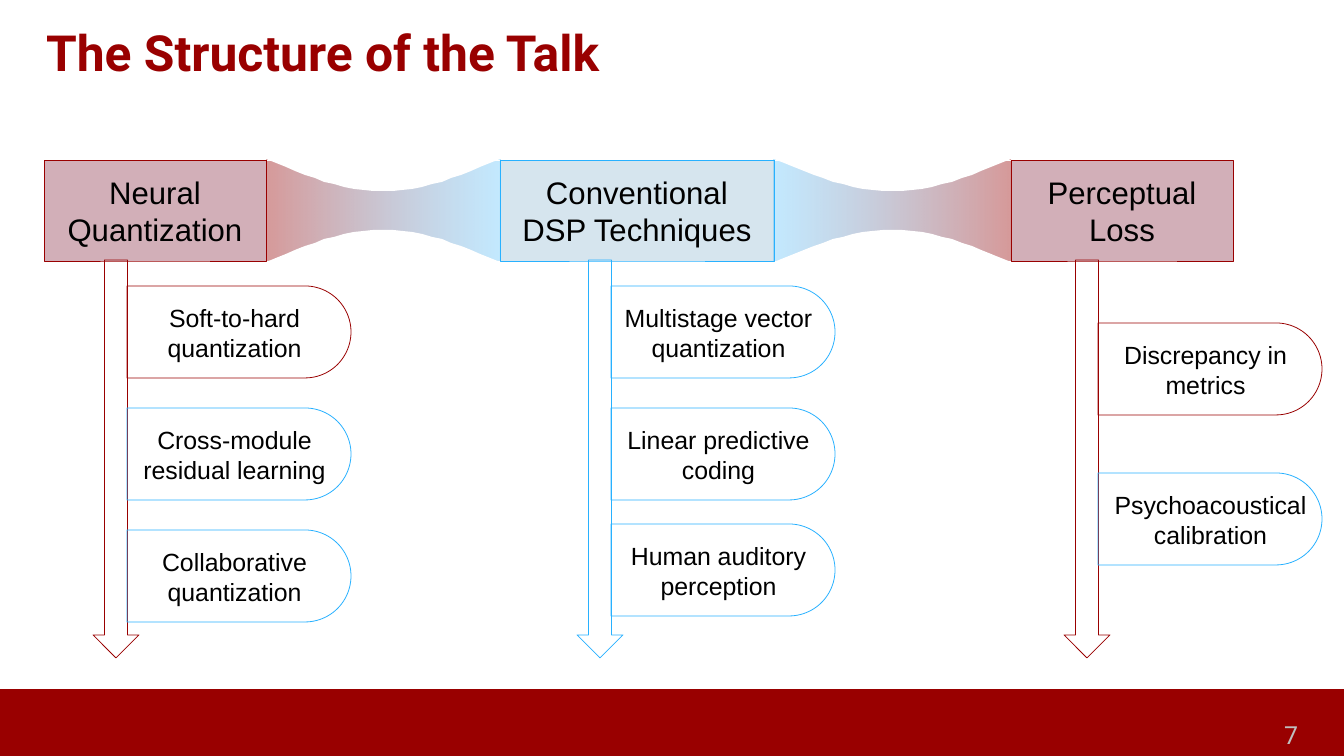
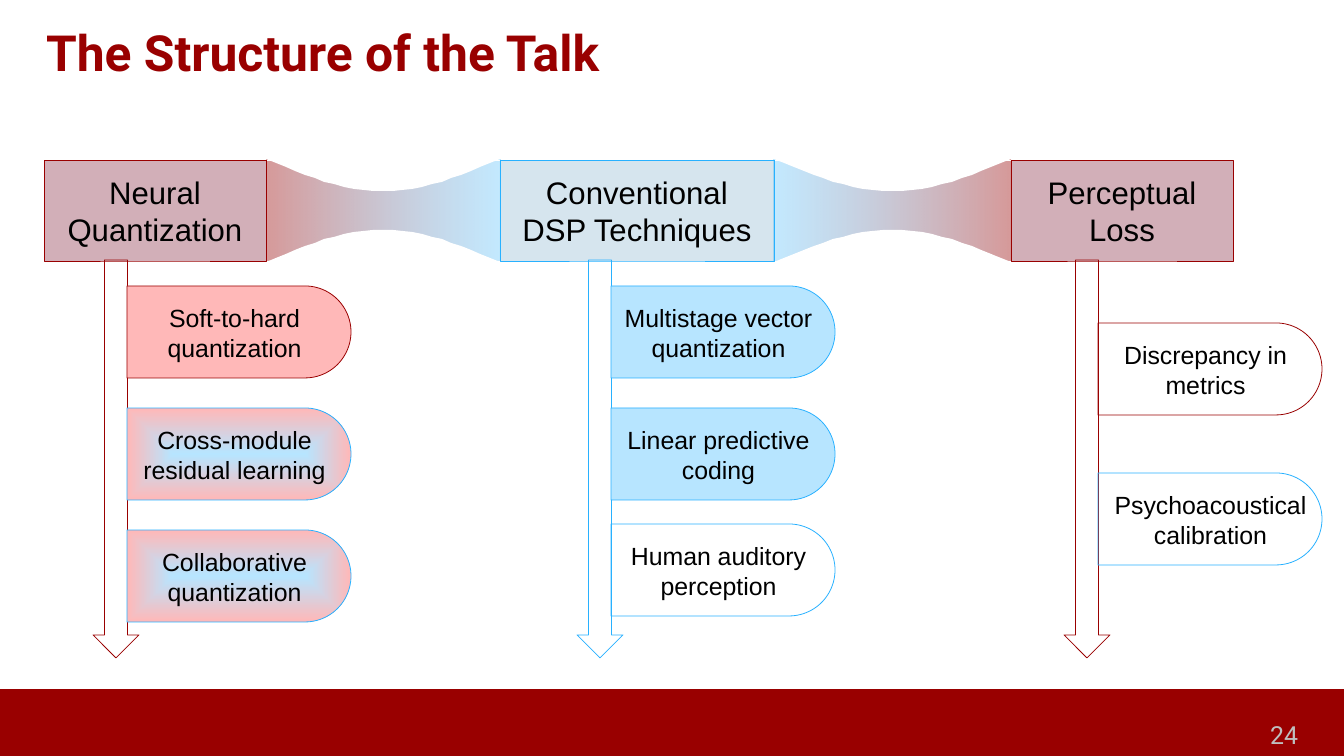
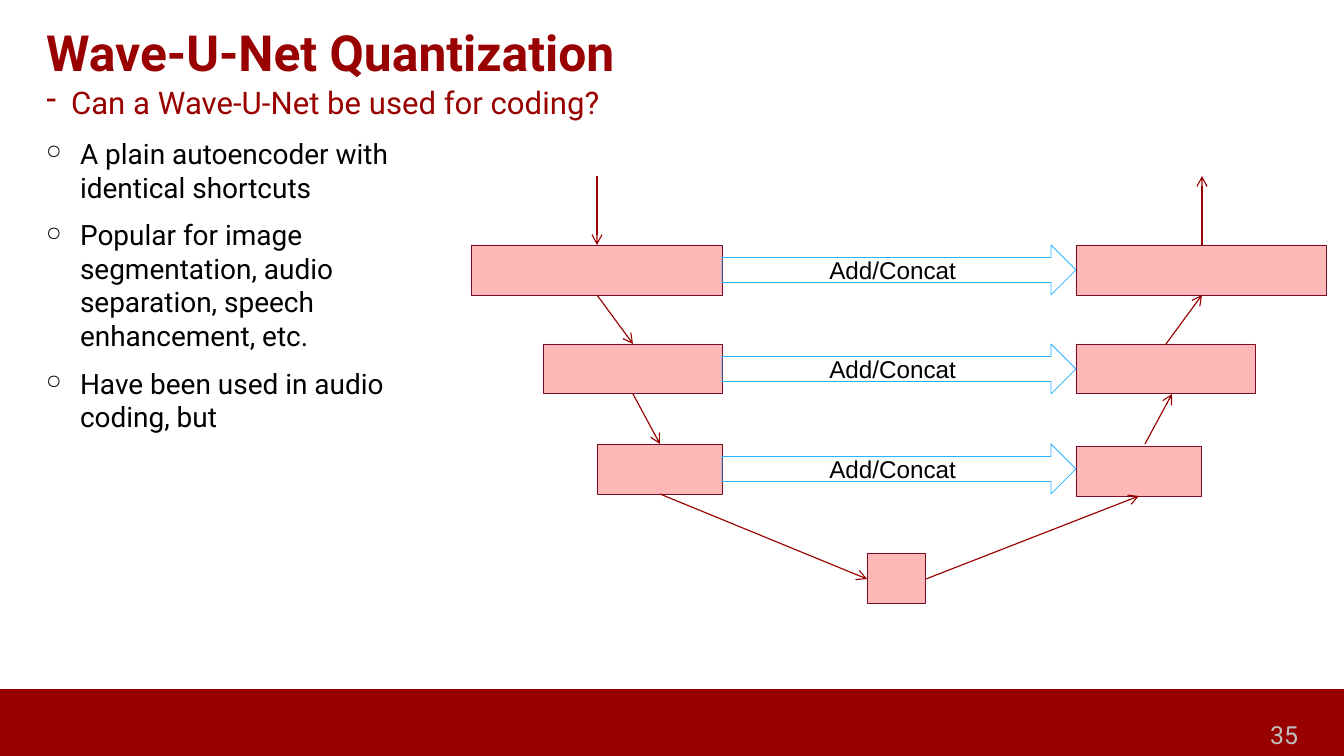
from dataclasses import dataclass
from enum import Enum
from math import pi, sin
from typing import Any, NamedTuple, Optional

from lxml import etree
from pptx import Presentation
from pptx.dml.color import RGBColor
from pptx.enum.shapes import MSO_CONNECTOR, MSO_SHAPE
from pptx.enum.text import MSO_ANCHOR, MSO_AUTO_SIZE, PP_ALIGN
from pptx.oxml.ns import qn
from pptx.util import Pt

RECTANGLE = MSO_SHAPE.RECTANGLE
DOWN_ARROW = MSO_SHAPE.DOWN_ARROW
RIGHT_ARROW = MSO_SHAPE.RIGHT_ARROW
PILL_SHAPE = MSO_SHAPE.ROUND_2_SAME_RECTANGLE
STRAIGHT = MSO_CONNECTOR.STRAIGHT
TOP, MIDDLE = MSO_ANCHOR.TOP, MSO_ANCHOR.MIDDLE
LEFT, CENTER, RIGHT = PP_ALIGN.LEFT, PP_ALIGN.CENTER, PP_ALIGN.RIGHT
GROW = MSO_AUTO_SIZE.SHAPE_TO_FIT_TEXT
BLANK_LAYOUT = 6
EMU_PER_PX = 914400 / 112


# Theme
@dataclass(frozen=True)
class Theme:
    red: str = "990000"
    blue: str = "28B1FF"
    wine: str = "770D28"
    navy: str = "006198"
    pink: str = "FFB8B8"
    sky: str = "B7E5FF"
    grey: str = "BFBFBF"
    black: str = "000000"
    white: str = "FFFFFF"
    heading_font: str = "Roboto"
    diagram_font: str = "Arial"
    title_size: float = 32
    subtitle_size: float = 20
    body_size: float = 18
    box_size: float = 20
    label_size: float = 16
    shortcut_size: float = 15.6
    outline: float = 0.5
    flow_line: float = 0.75


THEME = Theme()


class Tone(Enum):
    RED = 1
    BLUE = 2
    MIXED = 3


class Box(NamedTuple):
    left: int
    top: int
    width: int
    height: int


class Stop(NamedTuple):
    position: int
    color: str
    alpha: int = 100


class TextStyle(NamedTuple):
    font: str
    size: float
    color: str
    bold: bool = False
    align: PP_ALIGN = LEFT


class Bullet(NamedTuple):
    character: str
    indent: int
    percent: int = 100


class Pill(NamedTuple):
    text: str
    center: int
    tone: Tone
    covered: bool = True
    text_width: int = 213


class Column(NamedTuple):
    title: str
    left: int
    width: int
    fill: str
    alpha: int
    line: str
    arrow_left: int
    pills: tuple[Pill, ...]


class Level(NamedTuple):
    width: int
    encoder_top: int
    decoder_top: int


TITLE = TextStyle(THEME.heading_font, THEME.title_size, THEME.red, bold=True)
SUBTITLE = TextStyle(THEME.heading_font, THEME.subtitle_size, THEME.red)
BODY = TextStyle(THEME.heading_font, THEME.body_size, THEME.black)
NUMBER = TextStyle(THEME.heading_font, THEME.label_size, THEME.grey, align=RIGHT)
BOX_TEXT = TextStyle(THEME.diagram_font, THEME.box_size, THEME.black, align=CENTER)
PILL_TEXT = TextStyle(THEME.diagram_font, THEME.label_size, THEME.black, align=CENTER)
SHORTCUT = TextStyle(THEME.diagram_font, THEME.shortcut_size, THEME.black, align=CENTER)

# Content of the talk structure
BOX_TOP, BOX_HEIGHT = 160, 101
COLUMNS = (
    Column("Neural Quantization", 44, 222, THEME.wine, 33, THEME.red, 93, (
        Pill("Soft-to-hard quantization", 332, Tone.RED),
        Pill("Cross-module residual learning", 454, Tone.MIXED),
        Pill("Collaborative quantization", 576, Tone.MIXED))),
    Column("Conventional DSP Techniques", 500, 274, THEME.navy, 16, THEME.blue, 577, (
        Pill("Multistage vector quantization", 332, Tone.BLUE),
        Pill("Linear predictive coding", 454, Tone.BLUE),
        Pill("Human auditory perception", 570, Tone.BLUE, covered=False))),
    Column("Perceptual Loss", 1011, 222, THEME.wine, 33, THEME.red, 1064, (
        Pill("Discrepancy in metrics", 369, Tone.RED, covered=False),
        Pill("Psychoacoustical calibration", 519, Tone.MIXED, covered=False, text_width=223))),
)

# Content of the network diagram
BLOCK_HEIGHT = 50
ENCODER_RIGHT, DECODER_LEFT = 722, 1076
LEVELS = (Level(251, 245, 245), Level(179, 344, 344), Level(125, 444, 446))
BOTTLENECK = Box(867, 553, 59, BLOCK_HEIGHT)
FLOW = (
    (597, 176, 597, 245), (597, 295, 633, 344), (633, 394, 660, 444), (660, 494, 867, 579),
    (926, 579, 1139, 496), (1145, 444, 1172, 394), (1166, 344, 1202, 295), (1202, 245, 1202, 176),
)


def px(length: float) -> int:
    return round(length * EMU_PER_PX)


# Fills and lines
def set_alpha(color_element: Any, percent: int) -> None:
    etree.SubElement(color_element, qn("a:alpha"), val=str(percent * 1000))


def set_gradient(parent: Any, stops: tuple[Stop, ...], from_center: bool = False) -> None:
    """Swap the solid fill inside a shape or line element for a gradient."""
    gradient = etree.Element(qn("a:gradFill"), rotWithShape="1")
    stop_list = etree.SubElement(gradient, qn("a:gsLst"))
    for stop in stops:
        element = etree.SubElement(stop_list, qn("a:gs"), pos=str(stop.position * 1000))
        color = etree.SubElement(element, qn("a:srgbClr"), val=stop.color)
        if stop.alpha < 100:
            set_alpha(color, stop.alpha)
    if from_center:
        center = etree.SubElement(gradient, qn("a:path"), {"path": "shape"})
        etree.SubElement(center, qn("a:fillToRect"), {side: "50000" for side in "ltrb"})
    else:
        etree.SubElement(gradient, qn("a:lin"), ang="0", scaled="0")
    parent.replace(parent.find(qn("a:solidFill")), gradient)


def paint(shape: Any, fill: Optional[str], line: Optional[str], alpha: int = 100) -> None:
    shape.shadow.inherit = False
    if fill:
        shape.fill.solid()
        shape.fill.fore_color.rgb = RGBColor.from_string(fill)
        if alpha < 100:
            set_alpha(shape._element.spPr.find(f"{qn('a:solidFill')}/{qn('a:srgbClr')}"), alpha)
    else:
        shape.fill.background()
    if line:
        shape.line.color.rgb = RGBColor.from_string(line)
        shape.line.width = Pt(THEME.outline)
    else:
        shape.line.fill.background()


# Basic parts
def add_shape(shapes: Any, kind: MSO_SHAPE, box: Box, fill: Optional[str] = None,
              line: Optional[str] = None, alpha: int = 100) -> Any:
    shape = shapes.add_shape(kind, *map(px, box))
    paint(shape, fill, line, alpha)
    return shape


def add_line(shapes: Any, ends: tuple[int, int, int, int], color: str, width: float,
             arrow: bool = False) -> None:
    connector = shapes.add_connector(STRAIGHT, *map(px, ends))
    connector.line.color.rgb = RGBColor.from_string(color)
    connector.line.width = Pt(width)
    properties = connector._element.spPr
    if arrow:
        etree.SubElement(properties.find(qn("a:ln")), qn("a:tailEnd"), type="arrow")
    etree.SubElement(properties, qn("a:effectLst"))


def write(shape: Any, text: str, style: TextStyle, anchor: MSO_ANCHOR = MIDDLE,
          bullet: Optional[Bullet] = None, line_spacing: Optional[float] = None) -> None:
    frame = shape.text_frame
    frame.word_wrap = True
    frame.vertical_anchor = anchor
    frame.text = text
    for index, paragraph in enumerate(frame.paragraphs):
        if bullet:
            properties = paragraph._p.get_or_add_pPr()
            properties.set("marL", str(px(bullet.indent)))
            properties.set("indent", str(-px(bullet.indent)))
            etree.SubElement(properties, qn("a:buSzPct"), val=str(bullet.percent * 1000))
            etree.SubElement(properties, qn("a:buChar"), char=bullet.character)
        paragraph.alignment = style.align
        if line_spacing:
            paragraph.line_spacing = line_spacing
        if index:
            paragraph.space_before = Pt(9)
        for run in paragraph.runs:
            run.font.name = style.font
            run.font.size = Pt(style.size)
            run.font.bold = style.bold
            run.font.color.rgb = RGBColor.from_string(style.color)


def add_text(shapes: Any, box: Box, text: str, style: TextStyle, anchor: MSO_ANCHOR = MIDDLE,
             bullet: Optional[Bullet] = None, line_spacing: Optional[float] = None) -> Any:
    text_box = shapes.add_textbox(*map(px, box))
    write(text_box, text, style, anchor, bullet, line_spacing)
    return text_box


def add_base_slide(presentation: Any, title: str, number: int) -> Any:
    slide = presentation.slides.add_slide(presentation.slide_layouts[BLANK_LAYOUT])
    add_shape(slide.shapes, RECTANGLE, Box(0, 689, 1344, 67), THEME.red)
    add_text(slide.shapes, Box(35, 26, 1275, 58), title, TITLE, line_spacing=0.9)
    add_text(slide.shapes, Box(1242, 719, 67, 32), str(number), NUMBER)
    return slide


# Talk structure
def add_curve(shapes: Any, left: int, width: int, edge: int, depth: int) -> None:
    """Cover one edge of a bridge with a white arc; a negative depth points up."""
    steps = 24
    points = [(left + width * step / steps, edge + depth * sin(pi * step / steps))
              for step in range(steps + 1)]
    builder = shapes.build_freeform(*points[0], scale=EMU_PER_PX)
    builder.add_line_segments(points[1:], close=True)
    paint(builder.convert_to_shape(), THEME.white, None)


def add_bridge(shapes: Any, start: Column, end: Column) -> None:
    left = start.left + start.width
    width = end.left - left
    bottom = BOX_TOP + BOX_HEIGHT
    alphas = {THEME.blue: 28, THEME.red: 40}
    bridge = add_shape(shapes, RECTANGLE, Box(left, BOX_TOP, width, BOX_HEIGHT),
                       THEME.white, THEME.white)
    set_gradient(bridge._element.spPr, (Stop(0, start.line, alphas[start.line]),
                                        Stop(100, end.line, alphas[end.line])))
    add_curve(shapes, left, width, BOX_TOP - 1, 32)
    add_curve(shapes, left, width, bottom + 1, -32)
    for x, column in ((left, start), (end.left, end)):
        add_line(shapes, (x, BOX_TOP, x, bottom), column.line, THEME.outline)


def add_pill(shapes: Any, pill: Pill, left: int, highlighted: bool) -> None:
    length, thickness = 224, 92
    group = shapes.add_group_shape().shapes
    frame = Box(left + (length - thickness) // 2, pill.center - length // 2, thickness, length)
    fill = THEME.sky if pill.tone is Tone.BLUE else THEME.pink
    line = THEME.blue if pill.tone is Tone.BLUE else THEME.red
    filled = highlighted and pill.covered
    shape = add_shape(group, PILL_SHAPE, frame, fill if filled else None, line)
    shape.rotation = 90
    shape.adjustments[0], shape.adjustments[1] = 0.5, 0
    if pill.tone is Tone.MIXED:
        properties = shape._element.spPr
        set_gradient(properties.find(qn("a:ln")),
                     (Stop(0, THEME.red), Stop(50, THEME.blue), Stop(100, THEME.blue)))
        if filled:
            set_gradient(properties, (Stop(0, THEME.sky), Stop(100, THEME.pink)),
                         from_center=True)
    label = add_text(group, Box(left + 1, pill.center - 35, pill.text_width, 72),
                     pill.text, PILL_TEXT, TOP)
    label.text_frame.auto_size = GROW


def add_structure_slide(presentation: Any, number: int, highlighted: bool) -> None:
    shapes = add_base_slide(presentation, "The Structure of the Talk", number).shapes
    for start, end in zip(COLUMNS, COLUMNS[1:]):
        add_bridge(shapes, start, end)
    for column in COLUMNS:
        box = add_shape(shapes, RECTANGLE, Box(column.left, BOX_TOP, column.width, BOX_HEIGHT),
                        column.fill, column.line, column.alpha)
        write(box, column.title, BOX_TEXT)
        add_shape(shapes, DOWN_ARROW, Box(column.arrow_left, 260, 46, 398), line=column.line)
        for pill in column.pills:
            add_pill(shapes, pill, column.arrow_left + 34, highlighted)


# Network diagram
def add_network_slide(presentation: Any, number: int) -> None:
    shapes = add_base_slide(presentation, "Wave-U-Net Quantization", number).shapes
    add_text(shapes, Box(35, 86, 1275, 36), "Can a Wave-U-Net be used for coding?", SUBTITLE,
             bullet=Bullet("-", 25), line_spacing=0.9)
    points = (
        "A plain autoencoder with identical shortcuts",
        "Popular for image segmentation, audio separation, speech enhancement, etc.",
        "Have been used in audio coding, but",
    )
    add_text(shapes, Box(35, 131, 437, 553), "\n".join(points), BODY, TOP, Bullet("○", 34, 70))

    blocks = [BOTTLENECK]
    for level in LEVELS:
        blocks.append(Box(ENCODER_RIGHT - level.width, level.encoder_top,
                          level.width, BLOCK_HEIGHT))
        blocks.append(Box(DECODER_LEFT, level.decoder_top, level.width, BLOCK_HEIGHT))
    for block in blocks:
        add_shape(shapes, RECTANGLE, block, THEME.pink, THEME.wine)
    for level in LEVELS:
        shortcut = Box(ENCODER_RIGHT, level.encoder_top,
                       DECODER_LEFT - ENCODER_RIGHT, BLOCK_HEIGHT)
        arrow = add_shape(shapes, RIGHT_ARROW, shortcut, line=THEME.blue)
        write(arrow, "Add/Concat", SHORTCUT)
    for ends in FLOW:
        add_line(shapes, ends, THEME.red, THEME.flow_line, arrow=True)


def main() -> None:
    presentation = Presentation()
    presentation.slide_width, presentation.slide_height = px(1344), px(756)
    add_structure_slide(presentation, 7, highlighted=False)
    add_structure_slide(presentation, 24, highlighted=True)
    add_network_slide(presentation, 35)
    presentation.save("out.pptx")


if __name__ == "__main__":
    main()
